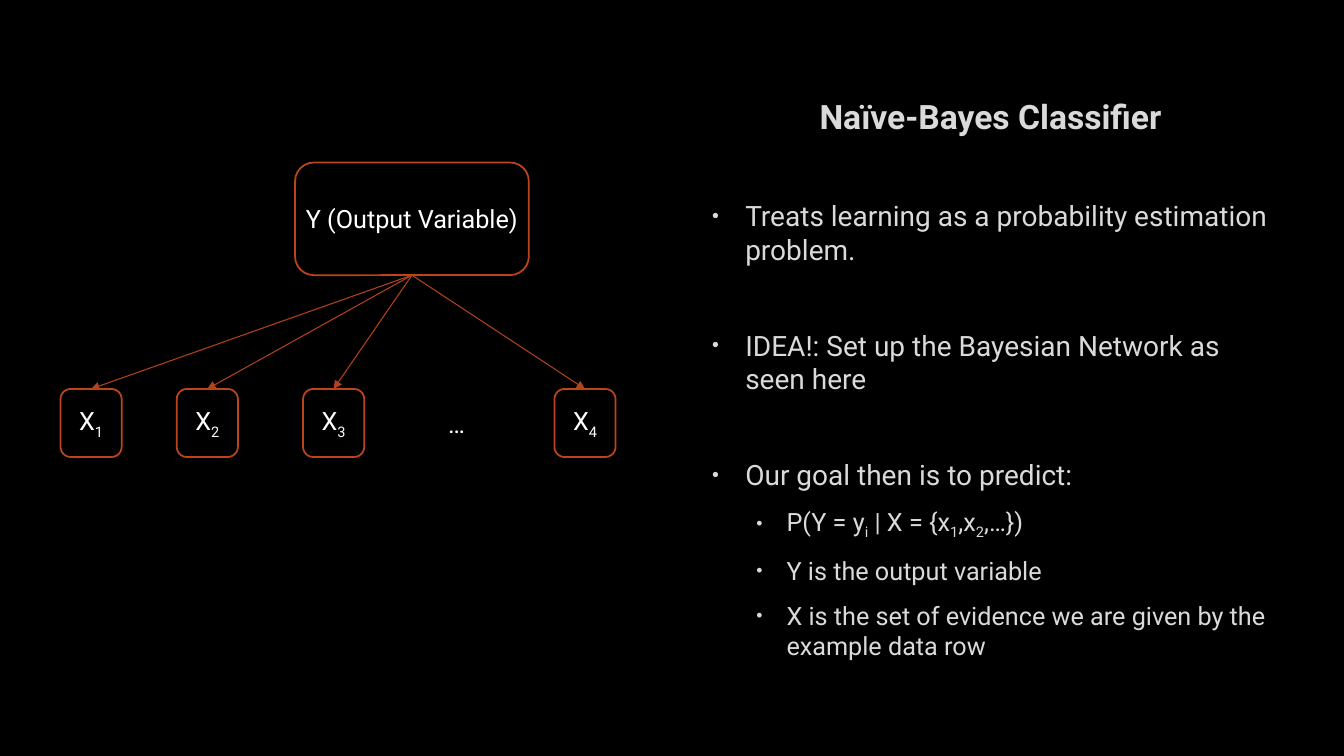
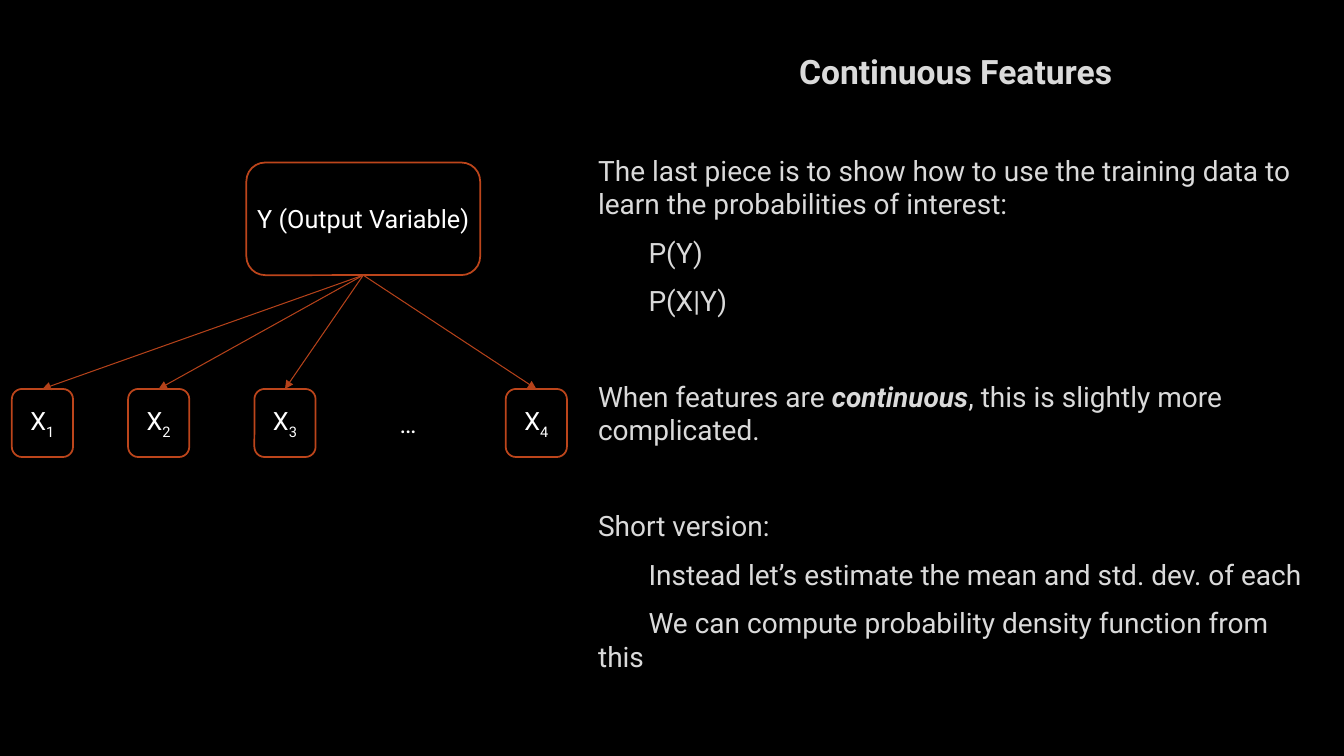
import dataclasses

import lxml.etree
import pptx
import pptx.dml.color
import pptx.enum.shapes
import pptx.enum.text
import pptx.oxml.ns
import pptx.util

WIDTH = pptx.util.Inches(13.33)
HEIGHT = pptx.util.Inches(7.5)


@dataclasses.dataclass(frozen=True)
class Theme:
    font: str = "Roboto"
    background: str = "000000"
    text: str = "DADADA"
    label: str = "FFFFFF"
    outline: str = "BC451B"
    arrow: str = "B4421A"
    title_size: int = 24
    body_size: int = 20
    small_size: int = 18
    space_before: float = 4.5
    space_after: float = 6
    group_space: float = 38.5


THEME = Theme()


def color(value):
    return pptx.dml.color.RGBColor.from_string(value)


def area(left, top, width, height):
    return (
        round(WIDTH * left / 100),
        round(HEIGHT * top / 100),
        round(WIDTH * width / 100),
        round(HEIGHT * height / 100),
    )


def add_element(parent, tag, **attributes):
    return lxml.etree.SubElement(parent, pptx.oxml.ns.qn(tag), **attributes)


def write(paragraph, text, size=THEME.body_size, fill=THEME.text,
          bold=False, italic=False, subscript=False):
    run = paragraph.add_run()
    run.text = text
    run.font.name = THEME.font
    run.font.size = pptx.util.Pt(size)
    run.font.color.rgb = color(fill)
    run.font.bold = bold
    run.font.italic = italic
    if subscript:
        run.font._element.set("baseline", "-25000")


def write_pieces(paragraph, pieces, **text_format):
    for piece in [pieces] if isinstance(pieces, str) else pieces:
        text, extra = (piece, {}) if isinstance(piece, str) else piece
        write(paragraph, text, **{**text_format, **extra})


def sub(text):
    return text, {"subscript": True}


def prepare_frame(shape, anchor=pptx.enum.text.MSO_ANCHOR.TOP):
    frame = shape.text_frame
    frame.word_wrap = True
    frame.auto_size = pptx.enum.text.MSO_AUTO_SIZE.NONE
    frame.vertical_anchor = anchor
    frame.margin_left = frame.margin_right = 0
    frame.margin_top = frame.margin_bottom = 0
    return frame


def add_title(slide, text, left, top, width):
    title = slide.shapes.title
    title.left, title.top, title.width, title.height = area(left, top, width, 6)
    paragraph = prepare_frame(title).paragraphs[0]
    paragraph.alignment = pptx.enum.text.PP_ALIGN.CENTER
    write(paragraph, text, size=THEME.title_size, bold=True)


def indent(paragraph, margin, first_line):
    properties = paragraph._p.get_or_add_pPr()
    properties.set("marL", str(pptx.util.Inches(margin)))
    properties.set("indent", str(pptx.util.Inches(first_line)))
    return properties


def add_bullet(paragraph, level):
    margin, hanging = ((0.34, -0.33), (0.75, -0.3))[level]
    properties = indent(paragraph, margin, hanging)
    bullet_color = add_element(properties, "a:buClr")
    add_element(bullet_color, "a:srgbClr", val=THEME.text)
    add_element(properties, "a:buSzPct", val="70000")
    add_element(properties, "a:buFont", typeface="Arial")
    add_element(properties, "a:buChar", char="•")
    paragraph.level = level


def add_body(slide, groups, left, top, width, bulleted):
    frame = prepare_frame(slide.shapes.add_textbox(*area(left, top, width, 63)))
    paragraph = None
    for group in groups:
        for position, (level, pieces) in enumerate(group):
            first = paragraph is None
            paragraph = frame.paragraphs[0] if first else frame.add_paragraph()
            if bulleted:
                add_bullet(paragraph, level)
            else:
                indent(paragraph, 0, 0.5 * level)
            if not first:
                space = THEME.space_before if position else THEME.group_space
                paragraph.space_before = pptx.util.Pt(space)
            paragraph.space_after = pptx.util.Pt(THEME.space_after)
            size = THEME.small_size if bulleted and level else THEME.body_size
            write_pieces(paragraph, pieces, size=size)


def write_label(shape, pieces):
    frame = prepare_frame(shape, pptx.enum.text.MSO_ANCHOR.MIDDLE)
    paragraph = frame.paragraphs[0]
    paragraph.alignment = pptx.enum.text.PP_ALIGN.CENTER
    write_pieces(paragraph, pieces, size=THEME.small_size, fill=THEME.label)


def add_node(slide, pieces, *bounds):
    node = slide.shapes.add_shape(
        pptx.enum.shapes.MSO_SHAPE.ROUNDED_RECTANGLE, *area(*bounds))
    node.shadow.inherit = False
    node.fill.background()
    node.line.color.rgb = color(THEME.outline)
    node.line.width = pptx.util.Pt(1.25)
    write_label(node, pieces)
    return node


def add_arrow(slide, start, end):
    arrow = slide.shapes.add_connector(
        pptx.enum.shapes.MSO_CONNECTOR.STRAIGHT, 0, 0, 0, 0)
    arrow.begin_connect(start, 2)
    arrow.end_connect(end, 0)
    arrow.line.color.rgb = color(THEME.arrow)
    arrow.line.width = pptx.util.Pt(0.75)
    properties = arrow._element.spPr
    line = properties.find(pptx.oxml.ns.qn("a:ln"))
    add_element(line, "a:tailEnd", type="triangle")
    add_element(properties, "a:effectLst")


def add_network(slide, left):
    top, width, height = 51.45, 4.55, 9
    output = add_node(slide, "Y (Output Variable)", left + 17.45, 21.5, 17.4, 14.9)
    for number, offset in enumerate((0, 8.65, 18.05, 36.75), start=1):
        feature = add_node(
            slide, ["X", sub(str(number))], left + offset, top, width, height)
        add_arrow(slide, output, feature)
    ellipsis = slide.shapes.add_textbox(*area(left + 27.2, top, width, height))
    write_label(ellipsis, "…")


def add_lesson(presentation, title, groups, network_left, text_left,
               text_width, title_top, body_top, bulleted=False):
    slide = presentation.slides.add_slide(presentation.slide_layouts[5])
    add_title(slide, title, text_left, title_top, text_width)
    add_body(slide, groups, text_left, body_top, text_width, bulleted)
    add_network(slide, network_left)


def main():
    presentation = pptx.Presentation()
    presentation.slide_width = WIDTH
    presentation.slide_height = HEIGHT
    background = presentation.slide_master.background.fill
    background.solid()
    background.fore_color.rgb = color(THEME.background)

    classifier = [
        [(0, "Treats learning as a probability estimation problem.")],
        [(0, "IDEA!: Set up the Bayesian Network as seen here")],
        [
            (0, "Our goal then is to predict:"),
            (1, ["P(Y = y", sub("i"), " | X = {x", sub("1"), ",x", sub("2"), ",…})"]),
            (1, "Y is the output variable"),
            (1, "X is the set of evidence we are given by the example data row"),
        ],
    ]
    add_lesson(presentation, "Naïve-Bayes Classifier", classifier,
               network_left=4.5, text_left=52.9, text_width=41.6,
               title_top=12.65, body_top=26.3, bulleted=True)

    continuous = [
        [
            (0, "The last piece is to show how to use the training data to "
                "learn the probabilities of interest:"),
            (1, "P(Y)"),
            (1, "P(X|Y)"),
        ],
        [(0, ["When features are ",
              ("continuous", {"bold": True, "italic": True}),
              ", this is slightly more complicated."])],
        [
            (0, "Short version:"),
            (1, "Instead let’s estimate the mean and std. dev. of each"),
            (1, "We can compute probability density function from this"),
        ],
    ]
    add_lesson(presentation, "Continuous Features", continuous,
               network_left=0.88, text_left=44.5, text_width=53.2,
               title_top=6.7, body_top=20.25)

    presentation.save("out.pptx")


if __name__ == "__main__":
    main()
